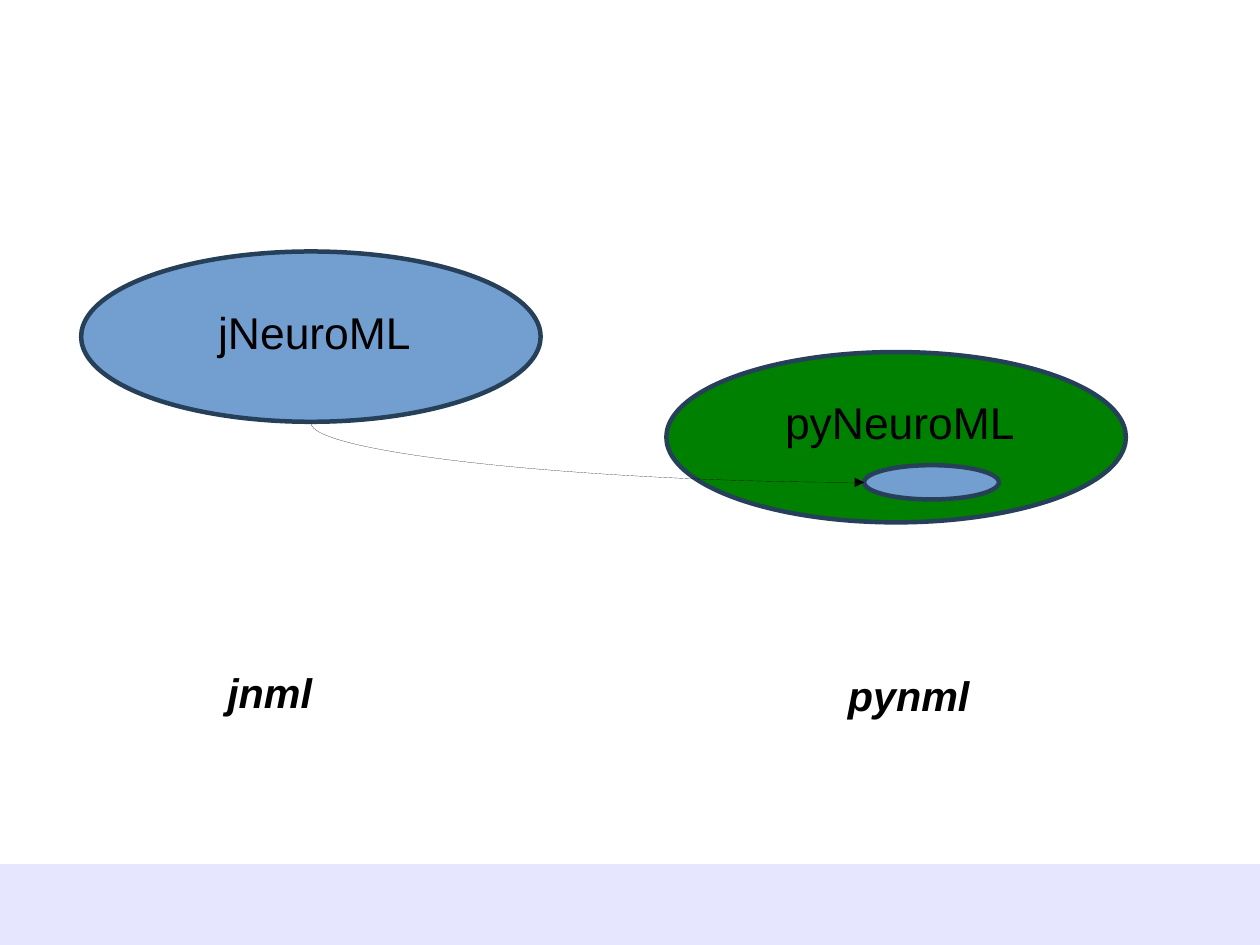
from lxml.etree import SubElement
from pptx import Presentation
from pptx.dml.color import RGBColor
from pptx.enum.shapes import MSO_CONNECTOR, MSO_SHAPE
from pptx.enum.text import MSO_AUTO_SIZE
from pptx.oxml.ns import qn
from pptx.util import Cm, Inches, Pt

BLACK = RGBColor(0x00, 0x00, 0x00)
BLUE = RGBColor(0x72, 0x9F, 0xCF)
GREEN = RGBColor(0x00, 0x80, 0x00)
NAVY = RGBColor(0x27, 0x40, 0x59)
LAVENDER = RGBColor(0xE6, 0xE6, 0xFF)

# The page is metric: 28 by 21 cm
SLIDE_WIDTH, SLIDE_HEIGHT = Cm(28), Cm(21)
TOOL_SIZE = (4.02, 1.49)
EMBEDDED_SIZE = (1.18, 0.3)


class Diagram:
    """Draws on one slide in one style."""

    font_name = "Arial"
    outline_width = 2.83
    line_spacing = 0.93

    def __init__(self, slide):
        self.slide = slide

    def fill_shape(self, kind, left, top, size, color):
        shape = self.slide.shapes.add_shape(
            kind, Inches(left), Inches(top), *map(Inches, size))
        shape.shadow.inherit = False
        shape.fill.solid()
        shape.fill.fore_color.rgb = color
        return shape

    def bar(self, left, top, size, color):
        shape = self.fill_shape(MSO_SHAPE.RECTANGLE, left, top, size, color)
        shape.line.fill.background()

    def ellipse(self, left, top, size, color):
        shape = self.fill_shape(MSO_SHAPE.OVAL, left, top, size, color)
        shape.line.color.rgb = NAVY
        shape.line.width = Pt(self.outline_width)

    def label(self, left, top, width, height, text, size, emphasis=False):
        box = self.slide.shapes.add_textbox(
            Inches(left), Inches(top), Inches(width), Inches(height))
        frame = box.text_frame
        frame.word_wrap = False
        frame.auto_size = MSO_AUTO_SIZE.SHAPE_TO_FIT_TEXT
        paragraph = frame.paragraphs[0]
        paragraph.text = text
        paragraph.line_spacing = self.line_spacing
        font = paragraph.font
        font.name = self.font_name
        font.size = Pt(size)
        font.bold = font.italic = emphasis
        font.color.rgb = BLACK

    def curved_arrow(self, start, end):
        """Leaves start downwards and reaches end from the left."""
        (x1, y1), (x2, y2) = start, end
        center_x, center_y = (x1 + x2) / 2, (y1 + y2) / 2
        half_width, half_height = (y2 - y1) / 2, (x2 - x1) / 2
        # The quarter curve is laid out upright, then turned by 270 degrees
        connector = self.slide.shapes.add_connector(
            MSO_CONNECTOR.CURVE,
            Inches(center_x + half_width), Inches(center_y - half_height),
            Inches(center_x - half_width), Inches(center_y + half_height))
        properties = connector._element.spPr
        properties.find(qn("a:xfrm")).set("rot", str(270 * 60000))
        properties.find(qn("a:prstGeom")).set("prst", "curvedConnector2")
        connector.line.color.rgb = BLACK
        # A hairline needs its zero width written out
        line = properties.find(qn("a:ln"))
        line.set("w", "0")
        SubElement(line, qn("a:tailEnd"), type="triangle")
        SubElement(properties, qn("a:effectLst"))


def main():
    presentation = Presentation()
    presentation.slide_width = SLIDE_WIDTH
    presentation.slide_height = SLIDE_HEIGHT
    diagram = Diagram(presentation.slides.add_slide(presentation.slide_layouts[6]))

    # Footer bar
    diagram.bar(0, 7.56, (SLIDE_WIDTH.inches, 0.71), LAVENDER)

    # Java tool
    diagram.ellipse(0.71, 2.2, TOOL_SIZE, BLUE)
    diagram.label(1.81, 2.66, 1.88, 0.57, "jNeuroML", 28)

    # Python tool with the Java tool embedded
    diagram.ellipse(5.83, 3.08, TOOL_SIZE, GREEN)
    diagram.label(6.77, 3.45, 2.21, 0.57, "pyNeuroML", 28)
    diagram.ellipse(7.56, 4.07, EMBEDDED_SIZE, BLUE)
    diagram.curved_arrow((2.72, 3.7), (7.56, 4.22))

    # Command names
    diagram.label(1.89, 5.83, 0.95, 0.53, "jnml", 26, emphasis=True)
    diagram.label(7.32, 5.85, 1.28, 0.53, "pynml", 26, emphasis=True)

    presentation.save("out.pptx")


if __name__ == "__main__":
    main()
